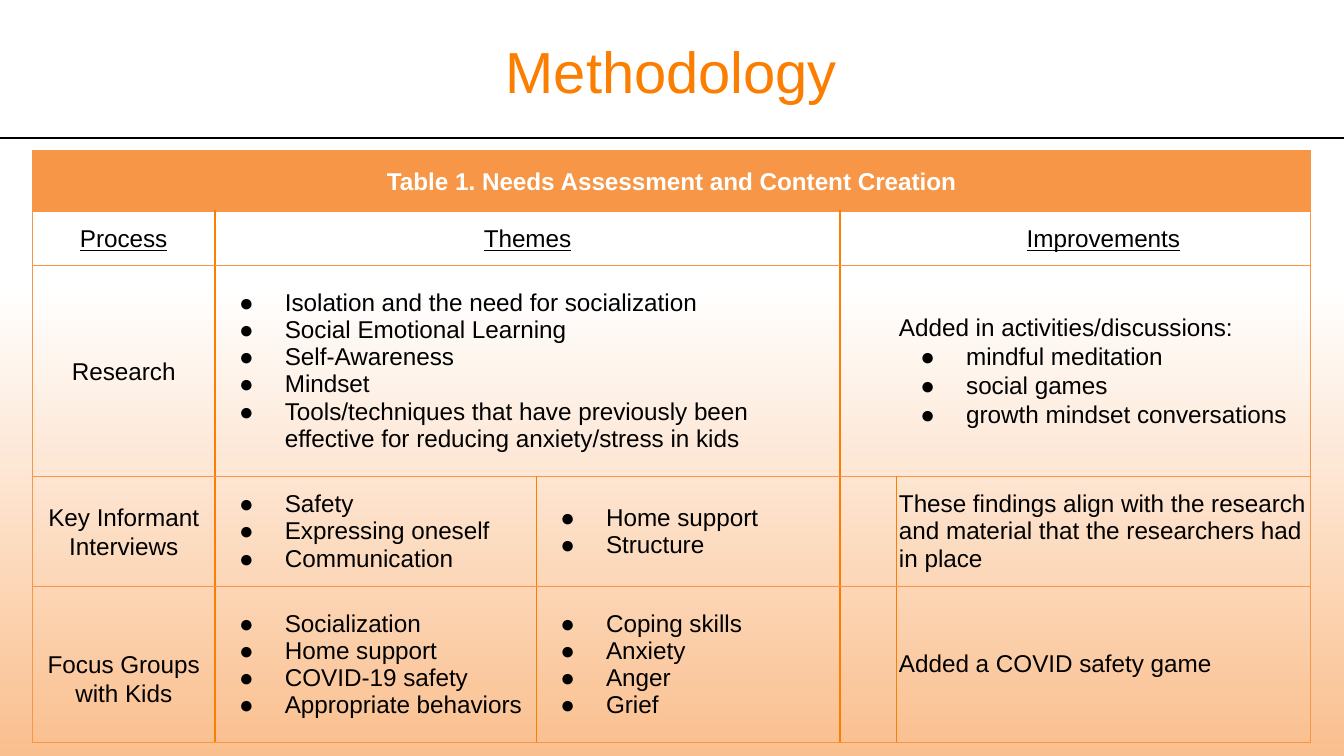
from dataclasses import dataclass

from pptx import Presentation
from pptx.dml.color import RGBColor
from pptx.enum.shapes import MSO_SHAPE
from pptx.enum.text import MSO_ANCHOR, PP_ALIGN
from pptx.oxml.ns import qn
from pptx.util import Inches, Pt
from lxml.etree import SubElement


@dataclass(frozen=True)
class Theme:
    """Colours, type sizes and line weights of the deck."""
    accent: str = "FB7E00"
    border: str = "F79646"
    glow: str = "FABF8E"
    ink: str = "000000"
    paper: str = "FFFFFF"
    font: str = "Arial"
    title_size: float = 31
    body_size: float = 13
    loose: float = 1.07
    border_width: float = 0.75


@dataclass(frozen=True)
class Entry:
    """Paragraphs of one table cell and how they are set."""
    lines: tuple
    bulleted: bool = False
    lead: str = ""
    centred: bool = False
    loose: bool = False
    underline: bool = False
    bold: bool = False
    color: str = Theme.ink
    top: float = 0


COLUMNS, ROWS = 100, 56.25
COLUMN_WIDTHS = (13.6, 23.9, 22.6, 4.2, 30.8)
ROW_HEIGHTS = (4.5, 3.2, 15.7, 8.2, 11.6)
COLUMN_RULES = {0: Theme.border, 1: Theme.accent, 3: Theme.accent, 5: Theme.border}
ROW_RULES = {0, 1, 3, 5}
MERGES = ((0, 0, 4), (1, 1, 2), (2, 1, 2))


def label(text, **options):
    """Return a centred, loosely spaced entry."""
    return Entry((text,), centred=True, loose=True, **options)


def bullets(*lines, **options):
    """Return a bulleted entry."""
    return Entry(lines, bulleted=True, **options)


ENTRIES = {
    (0, 0): label("Table 1. Needs Assessment and Content Creation", bold=True, color=Theme.paper),
    (1, 0): label("Process", underline=True),
    (1, 1): label("Themes", underline=True),
    (1, 4): label("Improvements", underline=True),
    (2, 0): label("Research"),
    (2, 1): bullets(
        "Isolation and the need for socialization",
        "Social Emotional Learning",
        "Self-Awareness",
        "Mindset",
        "Tools/techniques that have previously been effective for reducing anxiety/stress in kids",
    ),
    (2, 4): bullets(
        "mindful meditation",
        "social games",
        "growth mindset conversations",
        lead="Added in activities/discussions:",
        loose=True,
    ),
    (3, 0): label("Key Informant Interviews"),
    (3, 1): bullets("Safety", "Expressing oneself", "Communication"),
    (3, 2): bullets("Home support", "Structure"),
    (3, 4): Entry(("These findings align with the research and material that the researchers had in place",)),
    (4, 0): label("Focus Groups with Kids", top=2.1),
    (4, 1): bullets("Socialization", "Home support", "COVID-19 safety", "Appropriate behaviors"),
    (4, 2): bullets("Coping skills", "Anxiety", "Anger", "Grief"),
    (4, 4): Entry(("Added a COVID safety game",)),
}


class SlideBuilder:
    """Holds the theme and current slide and draws each kind of element."""

    def __init__(self, deck, theme):
        """Add a title slide page to the deck."""
        self.theme = theme
        self.unit = deck.slide_width / COLUMNS
        self.page = deck.slides.add_slide(deck.slide_layouts[5])

    def grid(self, *values):
        """Turn grid units into slide lengths."""
        return [round(value * self.unit) for value in values]

    def add_span(self, para, text, size, color, bold=False, underline=False):
        """Add one formatted run to a paragraph."""
        span = para.add_run()
        span.text = text
        span.font.name = self.theme.font
        span.font.size = Pt(size)
        span.font.bold = bold
        span.font.underline = underline
        span.font.color.rgb = RGBColor.from_string(color)

    def add_panel(self, left, top, width, height):
        """Add a plain rectangle and return it for filling."""
        box = self.page.shapes.add_shape(MSO_SHAPE.RECTANGLE, *self.grid(left, top, width, height))
        box.shadow.inherit = False
        box.line.fill.background()
        return box

    def add_glow(self, *place):
        """Add a panel that fades upwards from the glow colour."""
        fill = self.add_panel(*place).fill
        fill.gradient()
        fill.gradient_angle = 90
        for stop, color in zip(fill.gradient_stops, (self.theme.glow, self.theme.paper)):
            stop.color.rgb = RGBColor.from_string(color)

    def add_rule(self, *place):
        """Add a solid dark bar."""
        fill = self.add_panel(*place).fill
        fill.solid()
        fill.fore_color.rgb = RGBColor.from_string(self.theme.ink)

    def add_title(self, text, *place):
        """Move and fill the title placeholder."""
        title = self.page.shapes.title
        title.left, title.top, title.width, title.height = self.grid(*place)
        frame = title.text_frame
        frame.vertical_anchor = MSO_ANCHOR.MIDDLE
        frame.margin_left, frame.margin_right, frame.margin_top, frame.margin_bottom = self.grid(0.2, 0.2, 0.1, 0.1)
        para = frame.paragraphs[0]
        para.alignment = PP_ALIGN.CENTER
        self.add_span(para, text, self.theme.title_size, self.theme.accent)

    def set_bullet(self, para):
        """Give a paragraph a round bullet and hanging indent."""
        properties = para._p.get_or_add_pPr()
        properties.set("marL", str(Inches(0.5)))
        properties.set("indent", str(Inches(-0.34)))
        SubElement(properties, qn("a:buFont"), typeface=self.theme.font)
        SubElement(properties, qn("a:buChar"), char="●")

    def fill_cell(self, cell, entry):
        """Write an entry into a table cell."""
        cell.vertical_anchor = MSO_ANCHOR.MIDDLE
        cell.margin_left, cell.margin_right, cell.margin_top, cell.margin_bottom = self.grid(0.2, 0.2, entry.top, 0)
        lines = [(line, entry.bulleted) for line in entry.lines]
        if entry.lead:
            lines.insert(0, (entry.lead, False))
        for index, (line, bulleted) in enumerate(lines):
            para = cell.text_frame.add_paragraph() if index else cell.text_frame.paragraphs[0]
            para.alignment = PP_ALIGN.CENTER if entry.centred else PP_ALIGN.LEFT
            para.line_spacing = self.theme.loose if entry.loose else 1.0
            if bulleted:
                self.set_bullet(para)
            self.add_span(para, line, self.theme.body_size, entry.color, entry.bold, entry.underline)

    def set_borders(self, cell, row, column):
        """Draw the cell edges that lie on a table rule."""
        edges = {
            "a:lnL": COLUMN_RULES.get(column),
            "a:lnR": COLUMN_RULES.get(column + 1),
            "a:lnT": self.theme.border if row in ROW_RULES else None,
            "a:lnB": self.theme.border if row + 1 in ROW_RULES else None,
        }
        if row == 0:
            edges["a:lnL"] = edges["a:lnR"] = self.theme.border
        properties = cell._tc.get_or_add_tcPr()
        for tag, color in edges.items():
            if color:
                line = SubElement(properties, qn(tag), w=str(Pt(self.theme.border_width)))
                SubElement(SubElement(line, qn("a:solidFill")), qn("a:srgbClr"), val=color)

    def add_table(self, left, top):
        """Add the findings table."""
        size = self.grid(left, top, sum(COLUMN_WIDTHS), sum(ROW_HEIGHTS))
        table = self.page.shapes.add_table(len(ROW_HEIGHTS), len(COLUMN_WIDTHS), *size).table
        table.first_row = table.horz_banding = False
        table._tbl.tblPr.find(qn("a:tableStyleId")).text = "{2D5ABB26-0587-4C30-8999-92F81FD0307C}"
        for column, width in zip(table.columns, self.grid(*COLUMN_WIDTHS)):
            column.width = width
        for row, height in zip(table.rows, self.grid(*ROW_HEIGHTS)):
            row.height = height
        for row, first, last in MERGES:
            table.cell(row, first).merge(table.cell(row, last))
        for row in range(len(ROW_HEIGHTS)):
            for column in range(len(COLUMN_WIDTHS)):
                cell = table.cell(row, column)
                self.set_borders(cell, row, column)
                if row == 0:
                    cell.fill.solid()
                    cell.fill.fore_color.rgb = RGBColor.from_string(self.theme.border)
                else:
                    cell.fill.background()
                if (row, column) in ENTRIES:
                    self.fill_cell(cell, ENTRIES[row, column])


def main():
    """Build and save the deck."""
    deck = Presentation()
    deck.slide_width, deck.slide_height = Inches(10), Inches(ROWS / 10)
    builder = SlideBuilder(deck, Theme())
    builder.add_glow(0, 21.3, COLUMNS, ROWS - 21.3)
    builder.add_rule(0, 10.2, COLUMNS, 0.15)
    builder.add_table(2.4, 11.2)
    builder.add_title("Methodology", 2.4, 1.3, 95.1, 7.8)
    deck.save("out.pptx")


if __name__ == "__main__":
    main()
